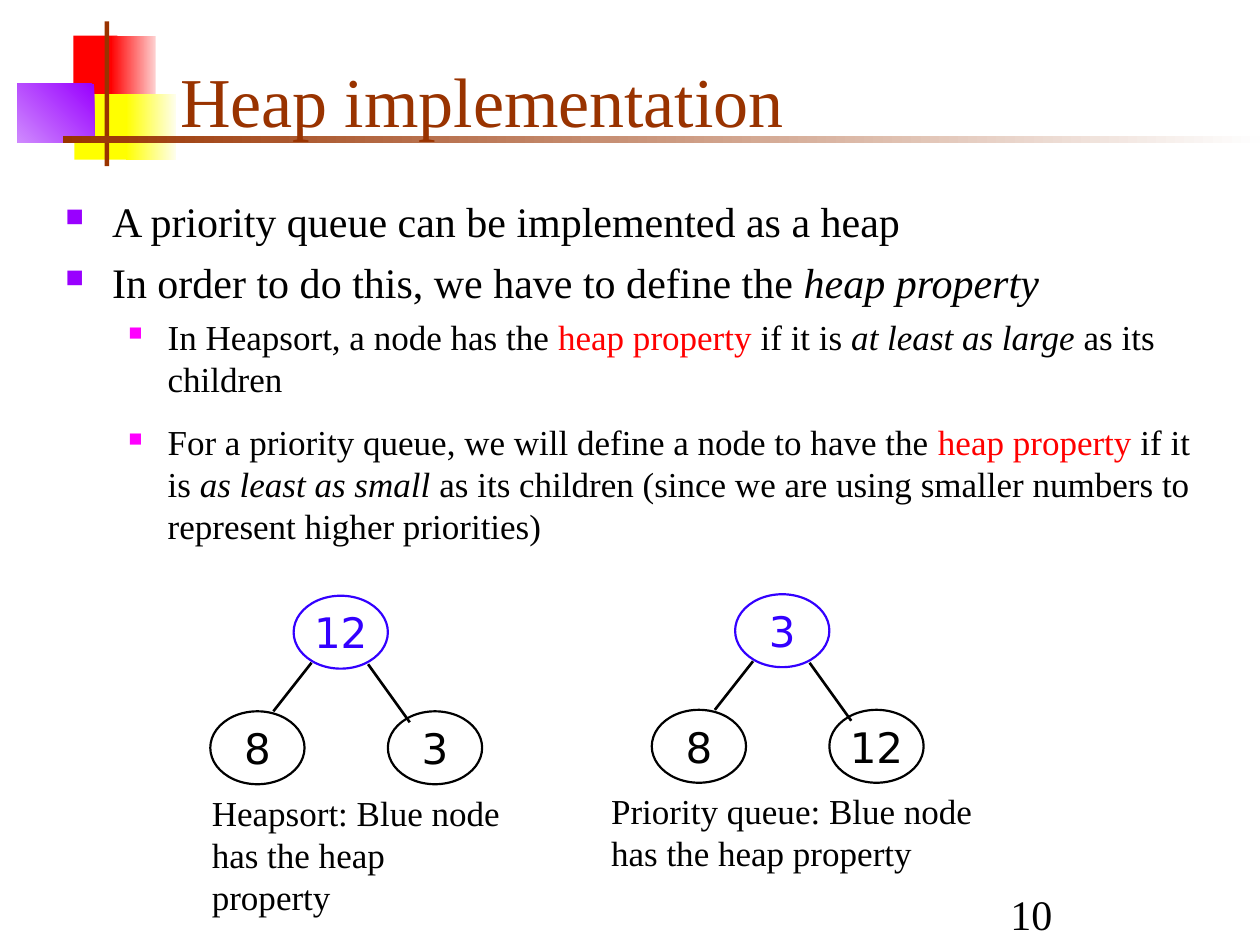
from dataclasses import dataclass
from typing import Optional

from lxml.etree import SubElement
from pptx import Presentation
from pptx.dml.color import RGBColor
from pptx.enum.shapes import MSO_CONNECTOR as Connector, MSO_SHAPE as Shape
from pptx.enum.text import MSO_ANCHOR as Anchor, PP_ALIGN as Align
from pptx.oxml.ns import qn
from pptx.util import Cm, Pt

COLORS = {
    "black": "000000", "red": "FF0000", "pale red": "FED0D0",
    "yellow": "FFFF00", "pale yellow": "FEFEEF",
    "purple": "9900FF", "pale purple": "CF8AFE",
    "brown": "993300", "pale brown": "FEFEFE",
    "blue": "3300FF", "magenta": "FF00FF",
}
SERIF, SANS = "Times New Roman", "DejaVu Sans"
NODE_WIDTH, NODE_HEIGHT = 1.9, 1.47
CHILD_OFFSETS = [(-1.68, 2.33), (1.9, 2.33)]
EDGE_OFFSETS = [(0.36, 1.35, -0.41, 2.33), (1.5, 1.38, 2.34, 2.55)]


@dataclass
class Box:
    left: float
    top: float
    width: float
    height: float

    def lengths(self) -> tuple:
        return Cm(self.left), Cm(self.top), Cm(self.width), Cm(self.height)


@dataclass
class Ornament:
    box: Box
    color: str
    fade: Optional[str] = None
    angle: int = 180


@dataclass
class Phrase:
    text: str
    color: str = "black"
    italic: bool = False


@dataclass
class BulletStyle:
    level: int
    size: int
    space_before: int
    margin: float
    hanging: float
    color: str
    percent: int


@dataclass
class Bullet:
    style: BulletStyle
    phrases: list


@dataclass
class Tree:
    left: float
    top: float
    root: str
    children: tuple
    caption: str
    caption_box: Box


ORNAMENTS = [
    Ornament(Box(1.48, 0.72, 0.89, 1.32), "red"),
    Ornament(Box(2.23, 0.72, 0.91, 1.32), "pale red", "red"),
    Ornament(Box(1.5, 1.9, 1.17, 1.32), "yellow"),
    Ornament(Box(2.54, 1.9, 1.02, 1.32), "pale yellow", "yellow"),
    Ornament(Box(0.35, 1.69, 1.55, 1.18), "purple", "pale purple", 225),
    Ornament(Box(2.11, 0.43, 0.09, 2.92), "brown"),
    Ornament(Box(1.27, 2.74, 24.13, 0.14), "pale brown", "brown"),
]

MAIN = BulletStyle(0, 24, 6, 0.94, 0.94, "purple", 60)
SUB = BulletStyle(1, 20, 5, 2.06, 0.79, "magenta", 55)

DEFINITIONS = [
    Bullet(MAIN, [Phrase("A priority queue can be implemented as a heap")]),
    Bullet(MAIN, [
        Phrase("In order to do this, we have to define the "),
        Phrase("heap property", italic=True),
    ]),
    Bullet(SUB, [
        Phrase("In Heapsort, a node has the "),
        Phrase("heap property", "red"),
        Phrase(" if it is "),
        Phrase("at least as large", italic=True),
        Phrase(" as its children"),
    ]),
]
QUEUE_RULE = [
    Bullet(SUB, [
        Phrase("For a priority queue, we will define a node to have the "),
        Phrase("heap property", "red"),
        Phrase(" if it is "),
        Phrase("as least as small", italic=True),
        Phrase(" as its children (since we are using smaller numbers to "
               "represent higher priorities)"),
    ]),
]
TREES = [
    Tree(5.92, 12.01, "12", ("8", "3"),
         "Heapsort: Blue node has the heap property", Box(4.02, 15.83, 6.55, 2.79)),
    Tree(14.82, 11.98, "3", ("8", "12"),
         "Priority queue: Blue node has the heap property", Box(12.07, 15.79, 8.03, 1.96)),
]


def rgb(color: str) -> RGBColor:
    return RGBColor.from_string(COLORS[color])


def format_run(run, size: int, color: str, font: str = SERIF, italic: bool = False) -> None:
    run.font.name = font
    run.font.size = Pt(size)
    run.font.italic = italic
    run.font.color.rgb = rgb(color)


def draw_ornament(shapes, ornament: Ornament) -> None:
    block = shapes.add_shape(Shape.RECTANGLE, *ornament.box.lengths())
    block.shadow.inherit = False
    block.line.fill.background()
    if ornament.fade is None:
        block.fill.solid()
        block.fill.fore_color.rgb = rgb(ornament.color)
        return
    block.fill.gradient()
    block.fill.gradient_angle = ornament.angle
    for stop, color in zip(block.fill.gradient_stops, (ornament.color, ornament.fade)):
        stop.color.rgb = rgb(color)


def draw_text(shapes, box: Box, text: str, size: int, color: str = "black",
              anchor: Anchor = Anchor.TOP, space_before: float = 0) -> None:
    frame = shapes.add_textbox(*box.lengths()).text_frame
    frame.word_wrap = True
    frame.vertical_anchor = anchor
    frame.text = text
    frame.paragraphs[0].space_before = Pt(space_before)
    format_run(frame.paragraphs[0].runs[0], size, color)


def mark_bullet(paragraph, style: BulletStyle) -> None:
    paragraph.level = style.level
    paragraph.space_before = Pt(style.space_before)
    properties = paragraph._p.get_or_add_pPr()
    properties.set("marL", str(Cm(style.margin)))
    properties.set("indent", str(-Cm(style.hanging)))
    tint = SubElement(properties, qn("a:buClr"))
    SubElement(tint, qn("a:srgbClr"), val=COLORS[style.color])
    SubElement(properties, qn("a:buSzPct"), val=str(style.percent * 1000))
    SubElement(properties, qn("a:buChar"), char="■")


def draw_bullets(shapes, box: Box, bullets: list) -> None:
    frame = shapes.add_textbox(*box.lengths()).text_frame
    frame.word_wrap = True
    for index, bullet in enumerate(bullets):
        paragraph = frame.add_paragraph() if index else frame.paragraphs[0]
        mark_bullet(paragraph, bullet.style)
        for phrase in bullet.phrases:
            run = paragraph.add_run()
            run.text = phrase.text
            format_run(run, bullet.style.size, phrase.color, italic=phrase.italic)


def draw_node(shapes, left: float, top: float, value: str, color: str) -> None:
    node = shapes.add_shape(Shape.OVAL, *Box(left, top, NODE_WIDTH, NODE_HEIGHT).lengths())
    node.shadow.inherit = False
    node.fill.background()
    node.line.color.rgb = rgb(color)
    node.line.width = Pt(1.25)
    frame = node.text_frame
    frame.word_wrap = False
    frame.vertical_anchor = Anchor.MIDDLE
    frame.text = value
    frame.paragraphs[0].alignment = Align.CENTER
    format_run(frame.paragraphs[0].runs[0], 24, color, SANS)


def draw_tree(shapes, tree: Tree) -> None:
    parts = shapes.add_group_shape().shapes
    draw_node(parts, tree.left, tree.top, tree.root, "blue")
    for value, (dx, dy) in zip(tree.children, CHILD_OFFSETS):
        draw_node(parts, tree.left + dx, tree.top + dy, value, "black")
    for x1, y1, x2, y2 in EDGE_OFFSETS:
        edge = parts.add_connector(
            Connector.STRAIGHT, Cm(tree.left + x1), Cm(tree.top + y1),
            Cm(tree.left + x2), Cm(tree.top + y2))
        edge.line.color.rgb = rgb("black")
        edge.line.width = Pt(1.5)
        SubElement(edge._element.spPr, qn("a:effectLst"))
    draw_text(parts, tree.caption_box, tree.caption, 20, space_before=12.5)


def main() -> None:
    deck = Presentation()
    deck.slide_width, deck.slide_height = Cm(25.4), Cm(19.05)
    shapes = deck.slides.add_slide(deck.slide_layouts[6]).shapes
    for ornament in ORNAMENTS:
        draw_ornament(shapes, ornament)
    draw_text(shapes, Box(3.38, 0.64, 21.64, 2.34), "Heap implementation", 40, "brown",
              Anchor.BOTTOM)
    draw_bullets(shapes, Box(1.07, 3.81, 23.83, 4.55), DEFINITIONS)
    draw_bullets(shapes, Box(1.07, 8.36, 23.6, 3.25), QUEUE_RULE)
    for tree in TREES:
        draw_tree(shapes, tree)
    draw_text(shapes, Box(20.12, 17.78, 5.28, 1.27), "10", 24, anchor=Anchor.BOTTOM)
    deck.save("out.pptx")


if __name__ == "__main__":
    main()
